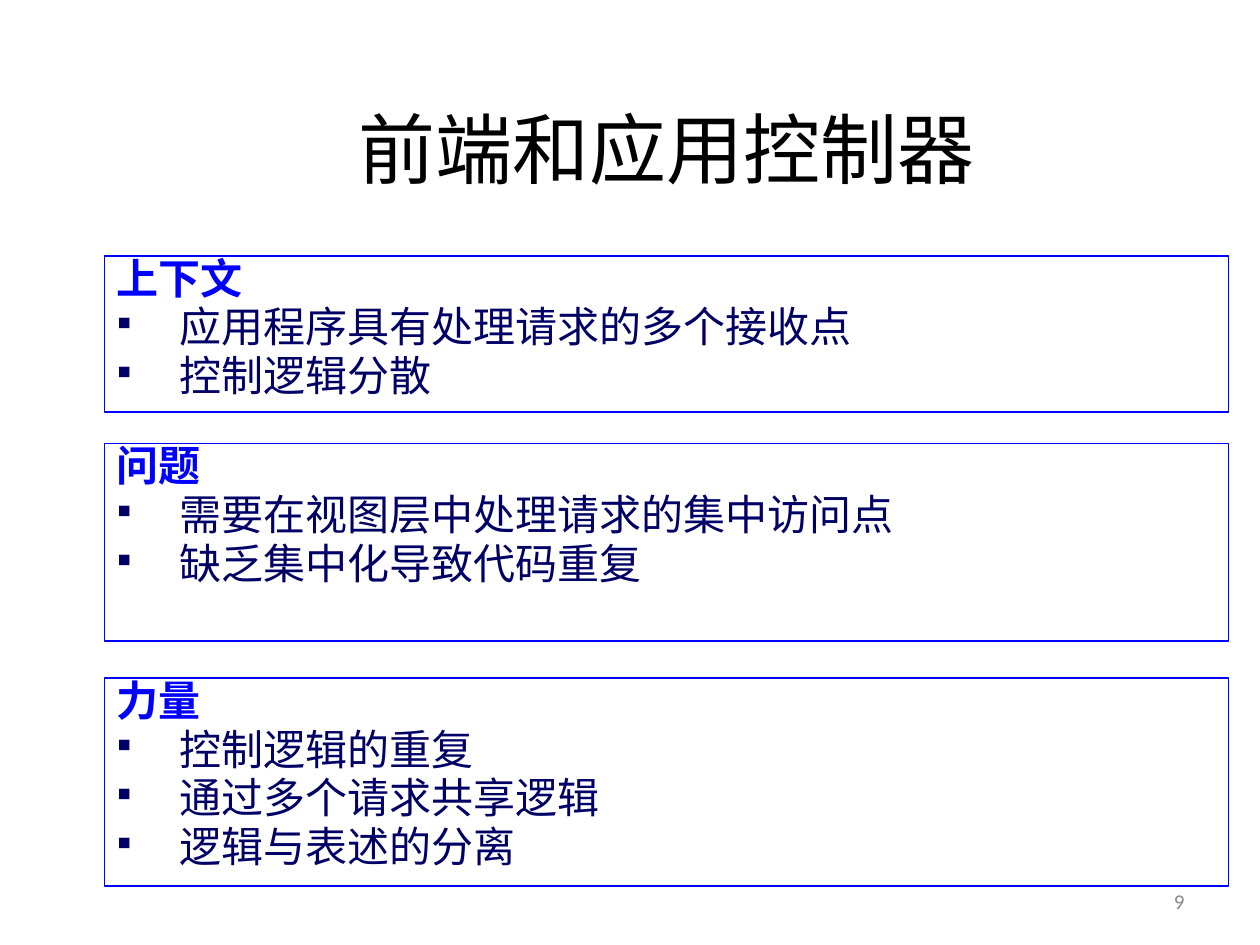
from dataclasses import dataclass

from lxml import etree
from pptx import Presentation
from pptx import util as u
from pptx.dml.color import RGBColor
from pptx.enum import shapes, text
from pptx.oxml import ns


@dataclass(frozen=True)
class Theme:
    title_font: str = "Calibri"
    body_font: str = "Arial Narrow"
    title_size: int = 44
    body_size: int = 24
    number_size: int = 12
    title_color: str = "000000"
    heading_color: str = "0000FF"
    body_color: str = "000066"
    number_color: str = "898989"


@dataclass(frozen=True)
class Section:
    top: float
    height: float
    heading: str
    points: tuple[str, ...]


THEME = Theme()
LEFT, WIDTH = 0.83, 8.92
SECTIONS = (
    Section(2.03, 1.24, "上下文", ("应用程序具有处理请求的多个接收点", "控制逻辑分散")),
    Section(3.52, 1.57, "问题", ("需要在视图层中处理请求的集中访问点", "缺乏集中化导致代码重复")),
    Section(5.38, 1.65, "力量", ("控制逻辑的重复", "通过多个请求共享逻辑", "逻辑与表述的分离")),
)


def style_text(para, font: str, size: int, color: str, bold: bool = False) -> None:
    for span in para.runs:
        span.font.name = font
        span.font.size = u.Pt(size)
        span.font.bold = bold
        span.font.color.rgb = RGBColor.from_string(color)


def format_list(para, bulleted: bool) -> None:
    para.alignment = text.PP_ALIGN.LEFT
    para.line_spacing = 0.8
    properties = para._p.get_or_add_pPr()
    properties.set("marL", str(u.Inches(0.5)))
    properties.set("indent", str(u.Inches(-0.5)))
    before = etree.SubElement(properties, ns.qn("a:spcBef"))
    etree.SubElement(before, ns.qn("a:spcPct"), val="20000")
    if bulleted:
        etree.SubElement(properties, ns.qn("a:buFont"), typeface=THEME.body_font)
        etree.SubElement(properties, ns.qn("a:buChar"), char="▪")
    else:
        etree.SubElement(properties, ns.qn("a:buNone"))


def add_label(page, bounds: tuple[float, ...], words: str, size: int,
              color: str, align: text.PP_ALIGN) -> None:
    box = page.shapes.add_textbox(*map(u.Inches, bounds))
    frame = box.text_frame
    frame.word_wrap = True
    frame.vertical_anchor = text.MSO_ANCHOR.MIDDLE
    frame.text = words
    para = frame.paragraphs[0]
    para.alignment = align
    style_text(para, THEME.title_font, size, color)


def add_section(page, section: Section) -> None:
    bounds = (LEFT, section.top, WIDTH, section.height)
    box = page.shapes.add_shape(shapes.MSO_SHAPE.RECTANGLE, *map(u.Inches, bounds))
    box.shadow.inherit = False
    box.fill.background()
    box.line.color.rgb = RGBColor.from_string(THEME.heading_color)
    box.line.width = u.Pt(1)
    frame = box.text_frame
    frame.word_wrap = True
    frame.vertical_anchor = text.MSO_ANCHOR.TOP
    frame.text = "\n".join((section.heading, *section.points))
    for index, para in enumerate(frame.paragraphs):
        is_heading = index == 0
        color = THEME.heading_color if is_heading else THEME.body_color
        format_list(para, bulleted=not is_heading)
        style_text(para, THEME.body_font, THEME.body_size, color, is_heading)


deck = Presentation()
deck.slide_width, deck.slide_height = u.Inches(10), u.Inches(7.5)
page = deck.slides.add_slide(deck.slide_layouts[6])
add_label(page, (LEFT, 0.88, WIDTH, 0.58), "前端和应用控制器",
          THEME.title_size, THEME.title_color, text.PP_ALIGN.CENTER)
for section in SECTIONS:
    add_section(page, section)
add_label(page, (7.17, 6.95, 2.33, 0.4), "9",
          THEME.number_size, THEME.number_color, text.PP_ALIGN.RIGHT)
deck.save("out.pptx")
